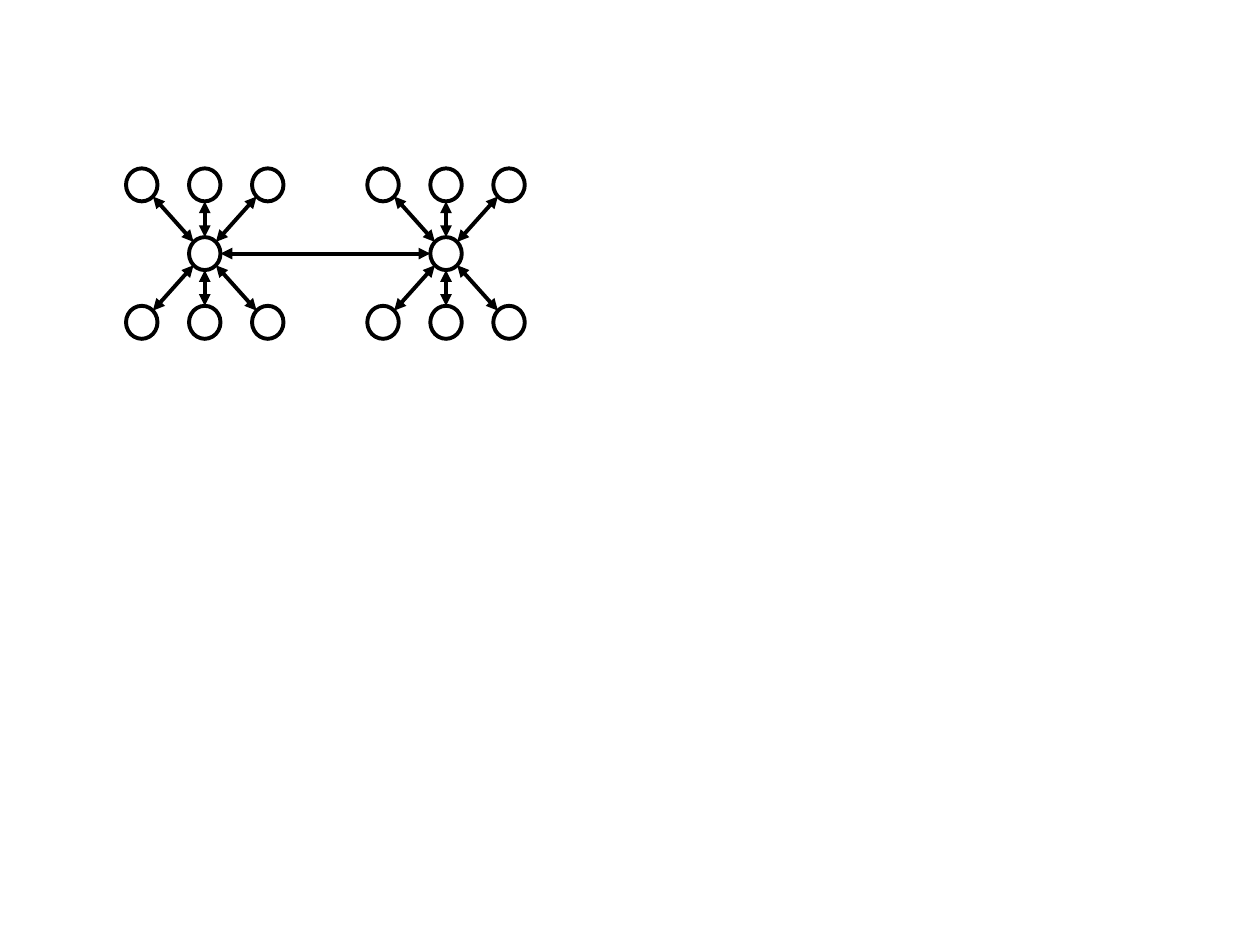
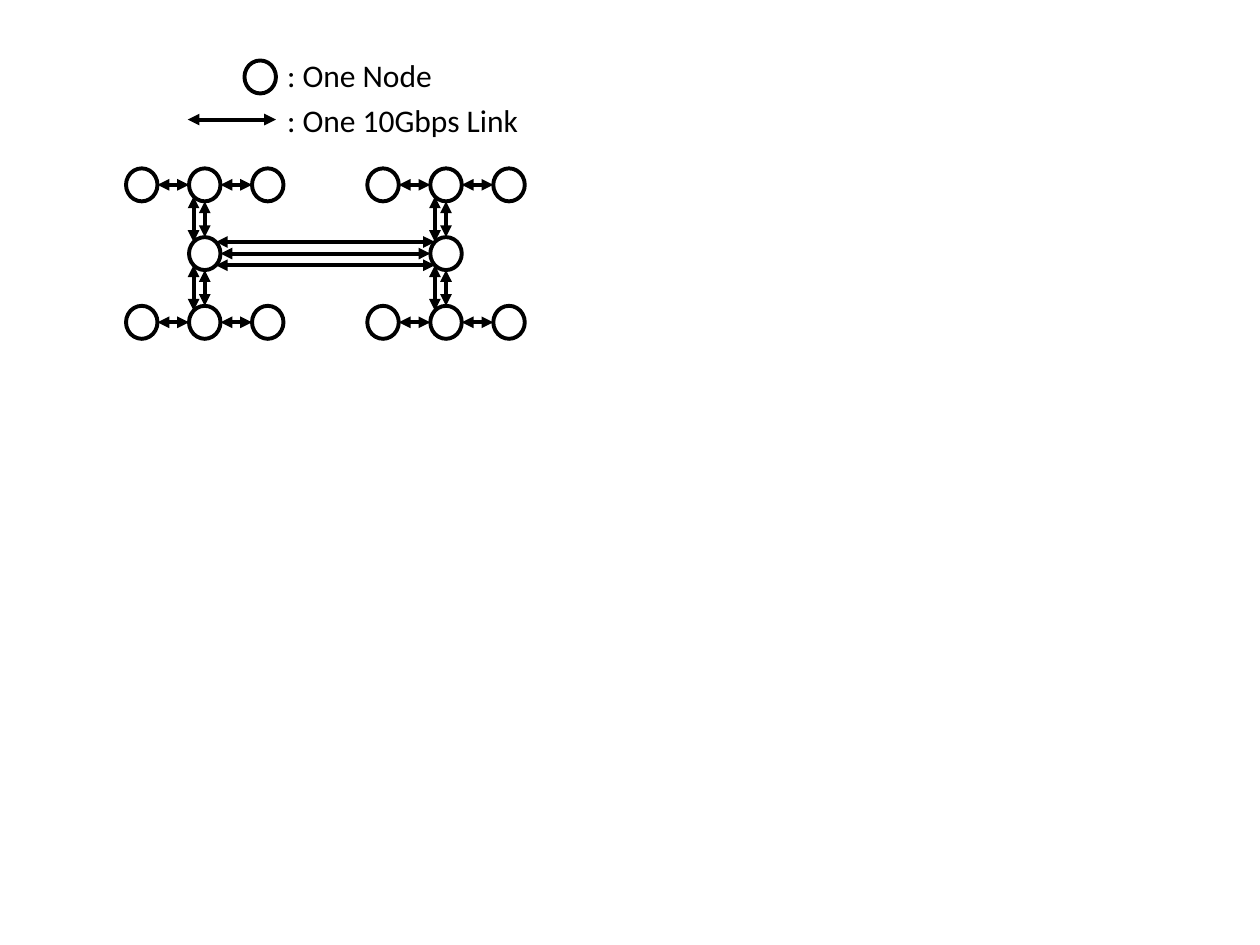
"""Two slides comparing star and tree links between two clusters of nodes."""
from itertools import product
from math import sqrt
from typing import NamedTuple

from lxml.etree import SubElement
from pptx import Presentation
from pptx.dml.color import RGBColor
from pptx.enum.shapes import MSO_CONNECTOR, MSO_SHAPE
from pptx.enum.text import MSO_AUTO_SIZE
from pptx.oxml.ns import qn
from pptx.slide import Slide
from pptx.util import Inches, Pt

SLIDE_WIDTH, SLIDE_HEIGHT = Inches(10), Inches(7.5)
COLUMN, ROW = SLIDE_WIDTH / 20, SLIDE_HEIGHT / 13.75
NODE_COLUMNS, NODE_ROWS = 0.5, 0.48
FIRST_COLUMN, FIRST_ROW, CLUSTER_PITCH = 2.25, 2.69, 3.83
INK, PAPER = "000000", "FFFFFF"
STROKE = Pt(2.25)
FONT, FONT_SIZE = "Calibri", Pt(18)
CLUSTERS = (0, 1)
HUB_POSITION = (1, 1)


class Point(NamedTuple):
    """A place on the slide grid, in columns and rows."""
    column: float
    row: float


class Side(NamedTuple):
    """A compass direction from the centre of a node."""
    across: int
    down: int

    def opposite(self) -> "Side":
        """Return the direction pointing back."""
        return Side(-self.across, -self.down)


class Node(NamedTuple):
    """A node in the three by three layout of a cluster."""
    cluster: int
    column: int
    row: int

    def center(self) -> Point:
        """Return the centre of the node on the slide grid."""
        return Point(FIRST_COLUMN + self.cluster * CLUSTER_PITCH + self.column,
                     FIRST_ROW + self.row)

    def port(self, side: Side) -> Point:
        """Return the point of the outline that faces a side."""
        reach = 0.5 / sqrt(abs(side.across) + abs(side.down))
        column, row = self.center()
        return Point(column + side.across * reach * NODE_COLUMNS,
                     row + side.down * reach * NODE_ROWS)


class Link(NamedTuple):
    """A two-way link between two points."""
    start: Point
    end: Point


class Label(NamedTuple):
    """A legend label with its top left corner and its width in columns."""
    text: str
    corner: Point
    columns: float


LEGEND_NODE = Point(4.13, 1.12)
LEGEND_LINK = Link(Point(2.98, 1.74), Point(4.38, 1.74))
LEGEND_LABELS = (
    Label(": One Node", Point(4.36, 0.72), 2.74),
    Label(": One 10Gbps Link", Point(4.36, 1.38), 4.12),
)
LABEL_ROWS = 0.74


def color(code: str) -> RGBColor:
    """Turn a hex string into a colour."""
    return RGBColor.from_string(code)


def across(columns: float) -> int:
    """Convert columns to a slide length."""
    return round(columns * COLUMN)


def down(rows: float) -> int:
    """Convert rows to a slide length."""
    return round(rows * ROW)


def draw_node(slide: Slide, center: Point) -> None:
    """Draw one node as a ring around its centre."""
    ring = slide.shapes.add_shape(
        MSO_SHAPE.OVAL,
        across(center.column - NODE_COLUMNS / 2), down(center.row - NODE_ROWS / 2),
        across(NODE_COLUMNS), down(NODE_ROWS))
    ring.shadow.inherit = False
    ring.fill.solid()
    ring.fill.fore_color.rgb = color(PAPER)
    ring.line.color.rgb = color(INK)
    ring.line.width = STROKE


def draw_link(slide: Slide, link: Link) -> None:
    """Draw one link with an arrowhead at both ends."""
    arrow = slide.shapes.add_connector(
        MSO_CONNECTOR.STRAIGHT,
        across(link.start.column), down(link.start.row),
        across(link.end.column), down(link.end.row))
    arrow.line.color.rgb = color(INK)
    arrow.line.width = STROKE
    outline = arrow.line._get_or_add_ln()
    for end in ("a:headEnd", "a:tailEnd"):
        SubElement(outline, qn(end), type="triangle")
    SubElement(arrow._element.spPr, qn("a:effectLst"))


def draw_label(slide: Slide, label: Label) -> None:
    """Write one legend label."""
    box = slide.shapes.add_textbox(
        across(label.corner.column), down(label.corner.row),
        across(label.columns), down(LABEL_ROWS))
    frame = box.text_frame
    frame.word_wrap = False
    frame.auto_size = MSO_AUTO_SIZE.SHAPE_TO_FIT_TEXT
    run = frame.paragraphs[0].add_run()
    run.text = label.text
    run.font.name = FONT
    run.font.size = FONT_SIZE
    run.font.color.rgb = color(INK)


def join(start: Node, start_side: Side, end: Node, end_side: Side) -> Link:
    """Link two nodes between the given sides."""
    return Link(start.port(start_side), end.port(end_side))


def star_links(cluster: int) -> list[Link]:
    """Link the hub directly to each outer node."""
    hub = Node(cluster, *HUB_POSITION)
    sides = [Side(*step) for step in product((-1, 0, 1), (-1, 1))]
    return [join(hub, side,
                 Node(cluster, hub.column + side.across, hub.row + side.down),
                 side.opposite())
            for side in sides]


def tree_links(cluster: int) -> list[Link]:
    """Link the hub twice to each branch node and each branch to its leaves."""
    hub = Node(cluster, *HUB_POSITION)
    links = []
    for step in (-1, 1):
        branch = Node(cluster, hub.column, hub.row + step)
        links += [join(hub, Side(shift, step), branch, Side(shift, -step))
                  for shift in (-1, 0)]
        for side in (Side(-1, 0), Side(1, 0)):
            leaf = Node(cluster, branch.column + side.across, branch.row)
            links.append(join(branch, side, leaf, side.opposite()))
    return links


def trunk_links(levels: tuple[int, ...]) -> list[Link]:
    """Link the two hubs once at each level."""
    left_hub, right_hub = (Node(cluster, *HUB_POSITION) for cluster in CLUSTERS)
    return [join(left_hub, Side(1, level), right_hub, Side(-1, level))
            for level in levels]


def draw_network(slide: Slide, links: list[Link]) -> None:
    """Draw the nodes of both clusters and the given links."""
    for cluster, row, column in product(CLUSTERS, range(3), range(3)):
        if row != HUB_POSITION[1] or column == HUB_POSITION[0]:
            draw_node(slide, Node(cluster, column, row).center())
    for link in links:
        draw_link(slide, link)


def draw_legend(slide: Slide) -> None:
    """Explain the node and link symbols."""
    draw_node(slide, LEGEND_NODE)
    draw_link(slide, LEGEND_LINK)
    for label in LEGEND_LABELS:
        draw_label(slide, label)


def main() -> None:
    """Build both slides and save the presentation."""
    presentation = Presentation()
    presentation.slide_width = SLIDE_WIDTH
    presentation.slide_height = SLIDE_HEIGHT
    blank = presentation.slide_layouts[6]
    star_slide, tree_slide = (presentation.slides.add_slide(blank) for _ in range(2))
    draw_network(star_slide,
                 [link for cluster in CLUSTERS for link in star_links(cluster)]
                 + trunk_links((0,)))
    draw_network(tree_slide,
                 [link for cluster in CLUSTERS for link in tree_links(cluster)]
                 + trunk_links((-1, 0, 1)))
    draw_legend(tree_slide)
    presentation.save("out.pptx")


if __name__ == "__main__":
    main()
